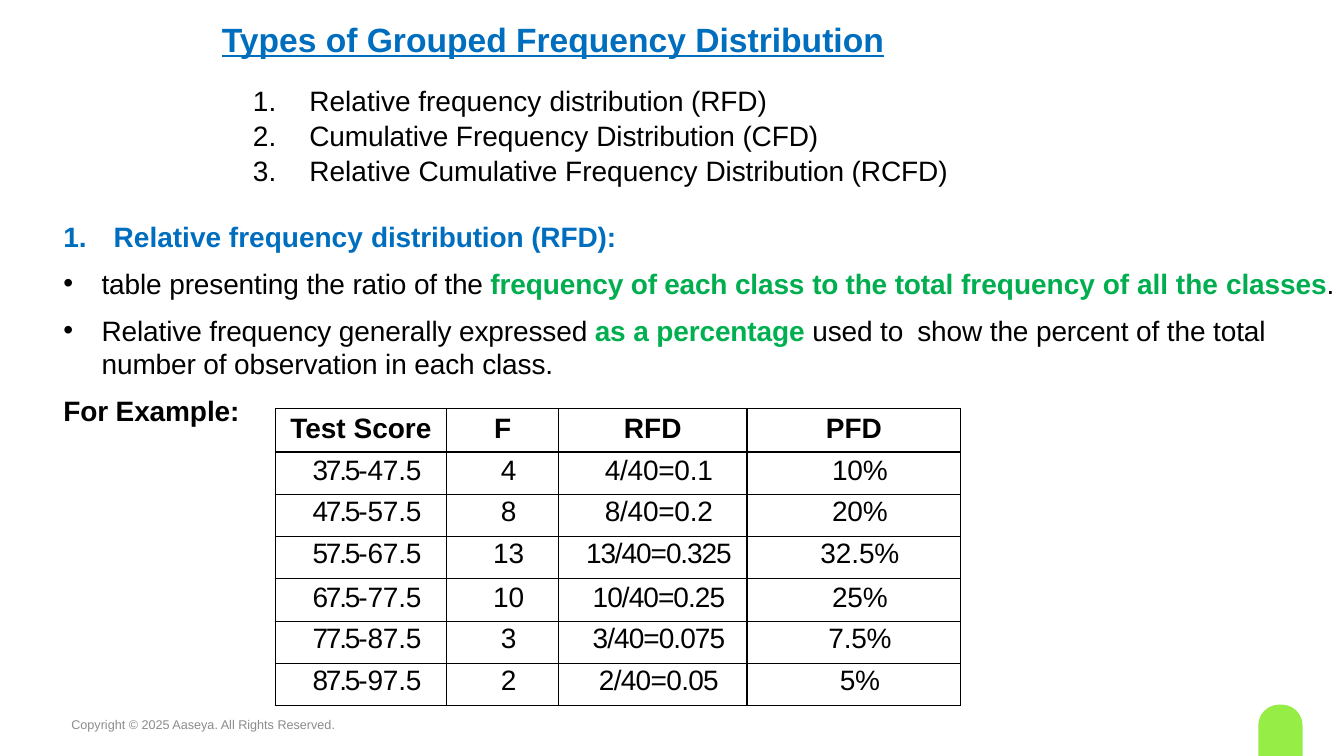
from dataclasses import dataclass
from typing import Optional

from lxml import etree
from pptx import Presentation
from pptx.dml.color import RGBColor
from pptx.enum.shapes import MSO_SHAPE
from pptx.enum.text import MSO_ANCHOR, PP_ALIGN
from pptx.oxml.ns import qn
from pptx.util import Emu, Pt

PX = 9144  # one hundredth of an inch
FONT = "Arial"
CENTER = PP_ALIGN.CENTER
TOP, MIDDLE = MSO_ANCHOR.TOP, MSO_ANCHOR.MIDDLE
TAB_ROUND = MSO_SHAPE.ROUND_2_SAME_RECTANGLE
COLORS = {"black": "000000", "blue": "006EBE", "green": "00AE4F",
          "bright": "00B050", "gray": "8C8C8C", "lime": "96ED45"}


@dataclass(frozen=True)
class Span:
    text: str
    spacing: float = 0
    color: str = "black"
    bold: bool = False
    size: int = 20
    underline: bool = False


@dataclass(frozen=True)
class Para:
    spans: tuple[Span, ...]
    left: int = 0
    hanging: int = 0
    before: float = 0
    bullet: str = ""  # "1." for numbering, otherwise the bullet character
    tabs: tuple[int, ...] = ()
    line: Optional[float | Pt] = None
    align: Optional[PP_ALIGN] = None


@dataclass(frozen=True)
class Box:
    left: int
    top: int
    width: int
    height: int
    paras: tuple[Para, ...]
    anchor: MSO_ANCHOR = TOP
    right_margin: int = 10


@dataclass(frozen=True)
class ScoreRow:
    low: str
    high: str
    count: str
    ratio: str
    percent: str
    count_spacing: float
    ratio_spacing: float
    percent_spacing: float
    line: float


def px(value: int) -> Emu:
    return Emu(value * PX)


def write_para(para, data: Para) -> None:
    """Fill one paragraph, run by run."""
    props = para._p.get_or_add_pPr()
    props.set("marL", str(px(data.left)))
    props.set("indent", str(px(data.hanging)))
    if data.bullet == "1.":
        etree.SubElement(props, qn("a:buAutoNum"), type="arabicPeriod")
    elif data.bullet:
        etree.SubElement(props, qn("a:buFont"), typeface=FONT)
        etree.SubElement(props, qn("a:buChar"), char=data.bullet)
    else:
        etree.SubElement(props, qn("a:buNone"))
    if data.tabs:
        stops = etree.SubElement(props, qn("a:tabLst"))
        for stop in data.tabs:
            etree.SubElement(stops, qn("a:tab"), pos=str(px(stop)), algn="l")
    para.space_before = Pt(data.before)
    para.alignment = data.align
    if data.line:
        para.line_spacing = data.line
    for span in data.spans:
        run = para.add_run()
        run.text = span.text
        run.font.name = FONT
        run.font.size = Pt(span.size)
        run.font.bold = span.bold
        run.font.underline = span.underline
        run.font.color.rgb = RGBColor.from_string(COLORS[span.color])
        if span.spacing:
            run._r.get_or_add_rPr().set("spc", str(round(span.spacing * 100)))


def add_box(page, box: Box) -> None:
    shape = page.shapes.add_textbox(*map(px, (box.left, box.top, box.width, box.height)))
    frame = shape.text_frame
    frame.word_wrap = True
    frame.vertical_anchor = box.anchor
    frame.margin_right = px(box.right_margin)
    for index, data in enumerate(box.paras):
        write_para(frame.add_paragraph() if index else frame.paragraphs[0], data)


def style_cell(cell, data: Para, inset: bool) -> None:
    """Write a cell, clear its fill and draw its four borders."""
    if not inset:
        cell.margin_left = cell.margin_right = cell.margin_top = cell.margin_bottom = 0
    write_para(cell.text_frame.paragraphs[0], data)
    cell.fill.background()
    props = cell._tc.get_or_add_tcPr()
    for index, side in enumerate(("a:lnL", "a:lnR", "a:lnT", "a:lnB")):
        line = etree.Element(qn(side), w=str(Pt(1)))
        fill = etree.SubElement(line, qn("a:solidFill"))
        etree.SubElement(fill, qn("a:srgbClr"), val=COLORS["black"])
        props.insert(index, line)


def add_score_table(page) -> None:
    height = HEADER_HEIGHT + ROW_HEIGHT * len(SCORES)
    frame = page.shapes.add_table(len(SCORES) + 1, len(HEADERS), px(273), px(405),
                                  px(sum(COLUMN_WIDTHS)), px(height))
    table = frame.table
    table.first_row = table.horz_banding = False
    for column, width in zip(table.columns, COLUMN_WIDTHS):
        column.width = px(width)
    for index, row in enumerate(table.rows):
        row.height = px(ROW_HEIGHT if index else HEADER_HEIGHT)
    for column, title in enumerate(HEADERS):
        style_cell(table.cell(0, column), Para((Span(title, bold=True),), align=CENTER), True)
    for index, score in enumerate(SCORES, 1):
        values = (
            (Span(score.low + "-", -1.6), Span(score.high, -0.2)),
            (Span(score.count, score.count_spacing),),
            (Span(score.ratio, score.ratio_spacing),),
            (Span(score.percent, score.percent_spacing),),
        )
        for column, spans in enumerate(values):
            data = Para(spans, left=12, line=Pt(score.line), align=CENTER)
            style_cell(table.cell(index, column), data, False)


# Table content
HEADERS = ("Test Score", "F", "RFD", "PFD")
COLUMN_WIDTHS = (170, 111, 187, 212)
HEADER_HEIGHT, ROW_HEIGHT = 43, 42
SCORES = (
    ScoreRow("37.5", "47.5", "4", "4/40=0.1", "10%", -0.5, -0.2, -0.2, 24.3),
    ScoreRow("47.5", "57.5", "8", "8/40=0.2", "20%", -0.5, -0.2, -0.2, 23.4),
    ScoreRow("57.5", "67.5", "13", "13/40=0.325", "32.5%", -0.2, -0.8, -0.1, 23.4),
    ScoreRow("67.5", "77.5", "10", "10/40=0.25", "25%", -0.2, -0.7, -0.2, 24.3),
    ScoreRow("77.5", "87.5", "3", "3/40=0.075", "7.5%", -0.5, -0.7, -0.2, 23.4),
    ScoreRow("87.5", "97.5", "2", "2/40=0.05", "5%", -0.5, -0.5, -0.2, 23.4),
)

# Text content
TABS = (268, 338, 454, 574, 643, 736)
CUMULATIVE = (Span("Cumulative ", -0.1), Span("Frequency "))
TYPES = (((Span("Relative frequency "),), "distribution (RFD)", 0),
         (CUMULATIVE, "Distribution (CFD)", 0.9),
         ((Span("Relative "), *CUMULATIVE), "Distribution (RCFD)", 1.4))
RATIO_SPANS = (
    Span("table presenting ", -0.1), Span("the ", -0.2), Span("ratio ", -0.1),
    Span("of the ", -0.2),
    *(Span(text, spacing, "green", True) for text, spacing in (
        ("frequency ", -0.1), ("of each ", -0.2), ("class ", -0.1), ("to the ", -0.2),
        ("total ", -0.1), ("frequency of all the ", 0), ("classes", -0.1))),
    Span(".", -0.1),
)
PERCENT_SPANS = (
    Span("Relative frequency generally expressed ", -0.1),
    Span("as a percentage ", -0.1, "bright", True),
    Span("used to\tshow the percent of the total number of observation in each class.", -0.1),
)
BOXES = (
    Box(73, 12, 951, 58, (Para((Span("Types of Grouped Frequency Distribution", 0, "blue",
                                     True, 24, True),), line=0.9, align=CENTER),), MIDDLE),
    Box(61, 699, 450, 40, (Para((Span("Copyright © 2025 Aaseya. All Rights Reserved.",
                                      color="gray", size=9),)),), MIDDLE),
    Box(239, 78, 785, 114, tuple(
        Para((*start, Span(end, -0.1)), 58, -56, before, "1.", (58,))
        for start, end, before in TYPES)),
    Box(0, 213, 1333, 216, (
        Para((Span("Relative frequency ", 0, "blue", True),
              Span("distribution (RFD):", -0.1, "blue", True)), 103, -50, 0, "1.", TABS),
        Para(RATIO_SPANS, 91, -38, 9.4, "•", TABS),
        Para(PERCENT_SPANS, 91, -38, 9.4, "•", TABS),
        Para((Span("For Example:", -0.1, bold=True),), 53, 0, 9.4, "", TABS)),
        right_margin=0),
)


def main() -> None:
    deck = Presentation()
    deck.slide_width, deck.slide_height = px(1333), px(750)
    page = deck.slides.add_slide(deck.slide_layouts[6])
    # Corner marker
    marker = page.shapes.add_shape(TAB_ROUND, px(1248), px(699), px(44), px(51))
    marker.adjustments[0] = 0.47
    marker.shadow.inherit = False
    marker.fill.solid()
    marker.fill.fore_color.rgb = RGBColor.from_string(COLORS["lime"])
    marker.line.fill.background()
    # Text and table
    for box in BOXES:
        add_box(page, box)
    add_score_table(page)
    deck.save("out.pptx")


if __name__ == "__main__":
    main()
